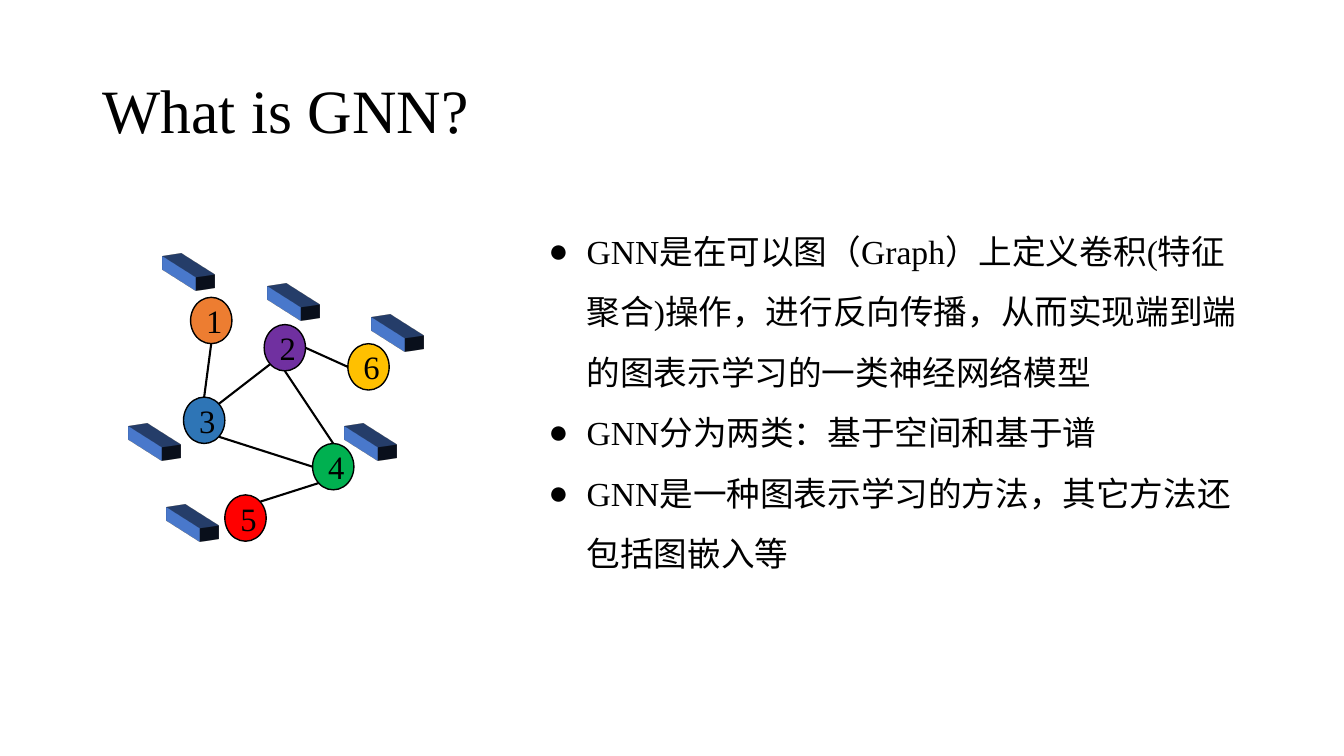
import math
from lxml import etree
from pptx import Presentation
from pptx.dml.color import RGBColor
from pptx.enum.shapes import MSO_CONNECTOR, MSO_SHAPE
from pptx.enum.text import MSO_ANCHOR, PP_ALIGN
from pptx.oxml.ns import qn
from pptx.util import Inches, Pt

LINE, ELLIPSE, RECTANGLE = MSO_CONNECTOR.STRAIGHT, MSO_SHAPE.OVAL, MSO_SHAPE.RECTANGLE
MIDDLE, CENTER = MSO_ANCHOR.MIDDLE, PP_ALIGN.CENTER
FONT = "Times New Roman"
BLACK = "000000"
NODE_WIDTH, NODE_HEIGHT = 0.41, 0.46
BAR_WIDTH, BAR_HEIGHT, BAR_DEPTH = 0.75, 0.14, 0.21
TOP, LEFT, LOWER_LEFT, BOTTOM, LOWER_RIGHT, RIGHT, UPPER_RIGHT = 90, 180, 225, 270, 315, 0, 45

NODES = {
    "1": (0.83, 0.31, "ED7D31"),
    "2": (1.56, 0.58, "7030A0"),
    "3": (0.76, 1.3, "2E75B6"),
    "4": (2.04, 1.76, "00B050"),
    "5": (1.17, 2.27, "FF0000"),
    "6": (2.39, 0.77, "FFC000"),
}
EDGES = [
    ("1", BOTTOM, "3", TOP),
    ("3", UPPER_RIGHT, "2", LOWER_LEFT),
    ("4", LEFT, "3", LOWER_RIGHT),
    ("5", UPPER_RIGHT, "4", LOWER_LEFT),
    ("4", TOP, "2", BOTTOM),
    ("6", LEFT, "2", RIGHT),
]
FEATURE_BARS = [(1.38, 0.3), (2.41, 0.61), (0.34, 0), (0, 1.69), (0.38, 2.49), (2.15, 1.69)]
POINTS = [
    "GNN是在可以图（Graph）上定义卷积(特征聚合)操作，进行反向传播，从而实现端到端的图表示学习的一类神经网络模型",
    "GNN分为两类：基于空间和基于谱",
    "GNN是一种图表示学习的方法，其它方法还包括图嵌入等",
]


def color(value):
    """Turn a hex string into a colour."""
    return RGBColor.from_string(value)


def add_run(paragraph, text, size):
    """Add one run in the slide's font."""
    run = paragraph.add_run()
    run.text = text
    run.font.name = FONT
    run.font.size = Pt(size)
    run.font.color.rgb = color(BLACK)


def add_text_frame(slide, box):
    """Add a wrapping text box and return its frame."""
    frame = slide.shapes.add_textbox(*map(Inches, box)).text_frame
    frame.word_wrap = True
    return frame


def add_title(slide, box, text):
    """Place the title, centred vertically in its box."""
    frame = add_text_frame(slide, box)
    frame.vertical_anchor = MIDDLE
    frame.paragraphs[0].line_spacing = 0.9
    add_run(frame.paragraphs[0], text, 44)


def add_bullets(slide, box, points):
    """Place the bulleted points."""
    frame = add_text_frame(slide, box)
    for index, point in enumerate(points):
        paragraph = frame.add_paragraph() if index else frame.paragraphs[0]
        paragraph.line_spacing = 1.5
        properties = paragraph._p.get_or_add_pPr()
        properties.set("marL", str(Inches(0.38)))
        properties.set("indent", str(Inches(-0.38)))
        etree.SubElement(properties, qn("a:buFont")).set("typeface", "Arial")
        etree.SubElement(properties, qn("a:buChar")).set("char", "●")
        add_run(paragraph, point, 24)


def add_filled_shape(slide, kind, box, fill, outline):
    """Place a flat shape with a thin outline."""
    shape = slide.shapes.add_shape(kind, *map(Inches, box))
    shape.shadow.inherit = False
    shape.fill.solid()
    shape.fill.fore_color.rgb = color(fill)
    shape.line.color.rgb = color(outline)
    shape.line.width = Pt(1)
    return shape


def add_node(slide, left, top, label, fill):
    """Place one numbered graph node."""
    box = (left, top, NODE_WIDTH, NODE_HEIGHT)
    frame = add_filled_shape(slide, ELLIPSE, box, fill, BLACK).text_frame
    frame.word_wrap = False
    frame.vertical_anchor = MIDDLE
    frame.margin_left = Inches(0.06)
    frame.margin_right = frame.margin_top = frame.margin_bottom = 0
    frame.paragraphs[0].alignment = CENTER
    add_run(frame.paragraphs[0], label, 23.3)


def rim_point(left, top, label, degrees):
    """Find the point on a node's rim at an angle."""
    x, y, _ = NODES[label]
    angle = math.radians(degrees)
    return (Inches(left + x + NODE_WIDTH / 2 * (1 + math.cos(angle))),
            Inches(top + y + NODE_HEIGHT / 2 * (1 - math.sin(angle))))


def add_edge(slide, start, end):
    """Join two rim points with a line."""
    edge = slide.shapes.add_connector(LINE, *start, *end)
    edge.line.color.rgb = color(BLACK)
    edge.line.width = Pt(1.5)
    etree.SubElement(edge._element.spPr, qn("a:effectLst"))


def add_feature_bar(slide, left, top):
    """Place one feature vector as an extruded bar."""
    box = (left, top, BAR_WIDTH, BAR_HEIGHT)
    bar = add_filled_shape(slide, RECTANGLE, box, "4472C4", "325491")
    properties = bar._element.spPr
    scene = etree.SubElement(properties, qn("a:scene3d"))
    etree.SubElement(scene, qn("a:camera")).set("prst", "isometricOffAxis1Left")
    light = etree.SubElement(scene, qn("a:lightRig"))
    light.set("rig", "threePt")
    light.set("dir", "t")
    solid = etree.SubElement(properties, qn("a:sp3d"))
    solid.set("extrusionH", str(Inches(BAR_DEPTH)))


def add_graph(slide, left, top):
    """Place the graph with its nodes, edges and feature bars."""
    for label, (x, y, fill) in NODES.items():
        add_node(slide, left + x, top + y, label, fill)
    for start, start_angle, end, end_angle in EDGES:
        add_edge(slide, rim_point(left, top, start, start_angle),
                 rim_point(left, top, end, end_angle))
    for x, y in FEATURE_BARS:
        add_feature_bar(slide, left + x, top + y)


def main():
    """Build the slide and save it."""
    presentation = Presentation()
    presentation.slide_width = Inches(13.33)
    presentation.slide_height = Inches(7.5)
    slide = presentation.slides.add_slide(presentation.slide_layouts[6])
    add_title(slide, (0.92, 0.4, 11.5, 1.45), "What is GNN?")
    add_graph(slide, 1.06, 2.64)
    add_bullets(slide, (5.34, 2.04, 7.08, 3.66), POINTS)
    presentation.save("out.pptx")


if __name__ == "__main__":
    main()
